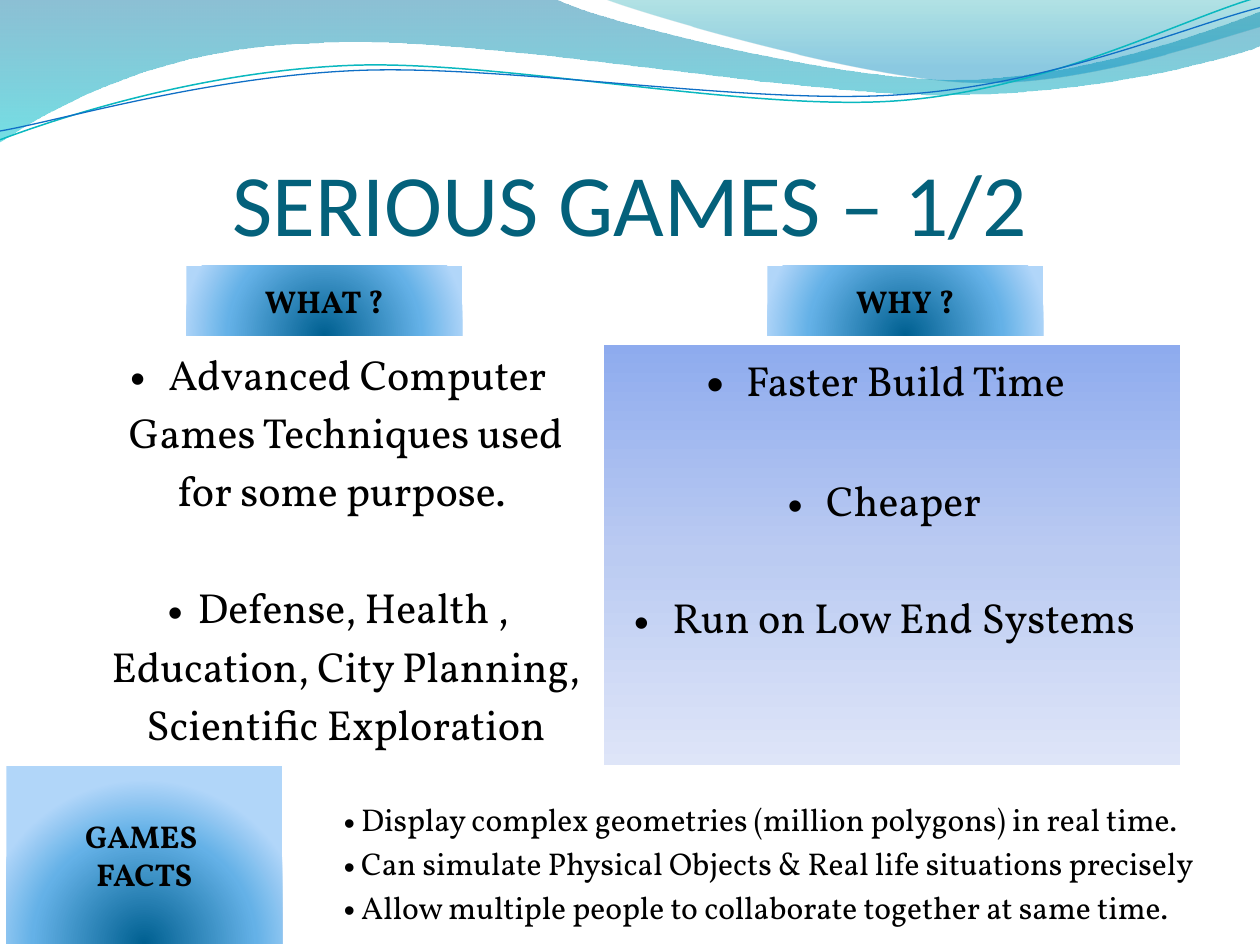
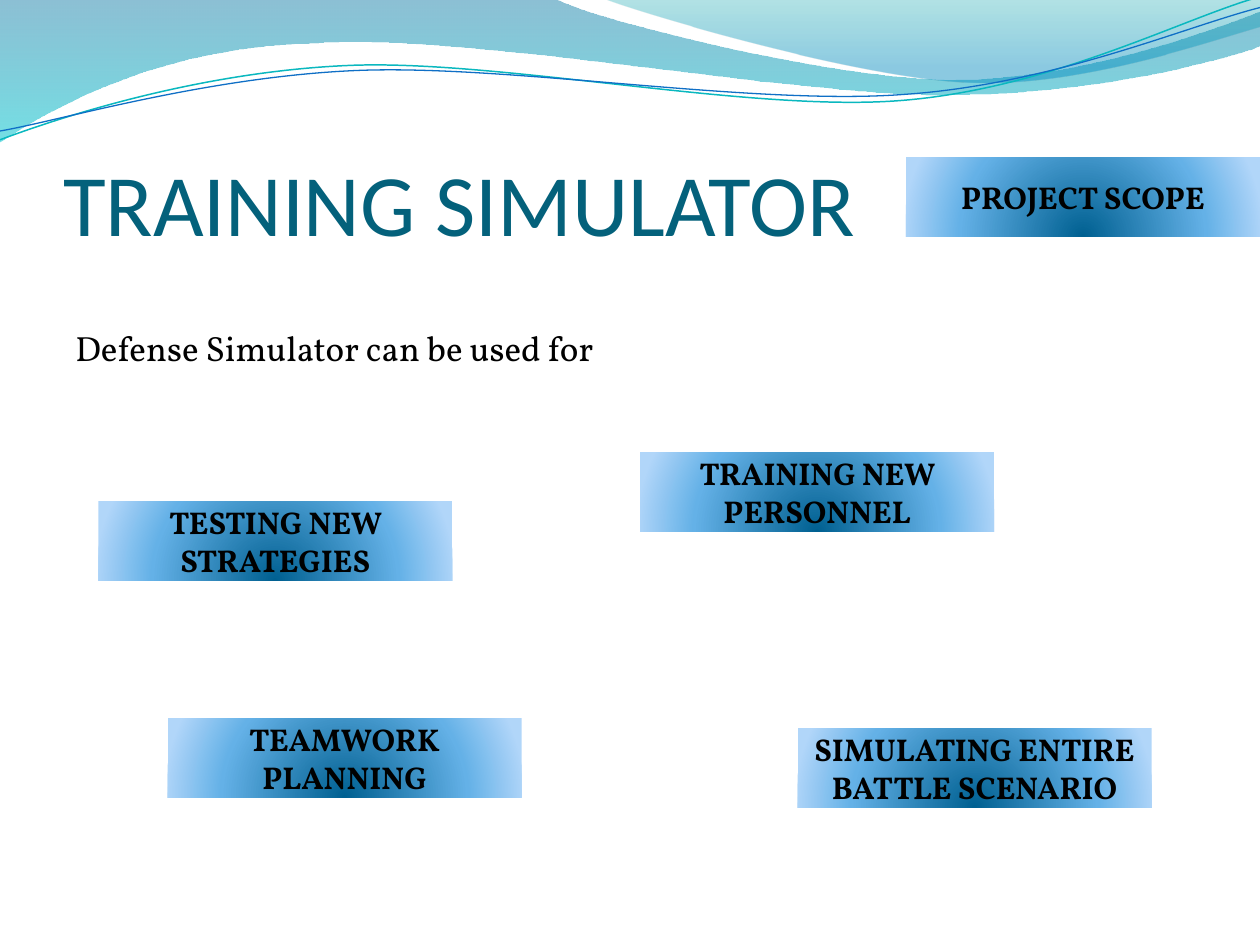
from collections import namedtuple

from lxml.etree import SubElement
from pptx import Presentation
from pptx.dml.color import RGBColor
from pptx.enum.shapes import MSO_SHAPE
from pptx.enum.text import MSO_ANCHOR, MSO_AUTO_SIZE, PP_ALIGN
from pptx.oxml import parse_xml
from pptx.oxml.ns import nsdecls, qn
from pptx.util import Inches, Pt

Box = namedtuple("Box", "left top width height")

COLUMNS, ROWS = 10, 7.5
CELL = Inches(1)
SLIDE = Box(0, 0, COLUMNS, ROWS)
TITLE_BOX = Box(0.5, 0.77, 9, 1.25)
TITLE_FONT, BODY_FONT = "Calibri", "Vollkorn"
TITLE_COLOR, TEXT_COLOR = "04617B", "000000"
LABEL_STOPS = [(0, "006091", 100), (68, "64B1E7", 100), (100, "B1D6F9", 100)]
REASON_STOPS = [(0, "8EABEE", 100), (50, "BBCBF2", 100), (100, "DEE5F8", 100)]
DOWNWARD = '<a:lin ang="5400000" scaled="0"/>'
RADIAL = ('<a:path path="circle"><a:fillToRect l="50000" t="130000" '
          'r="50000" b="-30000"/></a:path>')
BLANK_LINE = 33.4

BANDS = [
    ([(0, 0), (4.4, -0.01), (4.76, 0.17, 6.64, 0.63, 7.58, 0.63),
      (8.53, 0.63, 9.58, 0.26, 10, 0.09), (10.01, 0.36),
      (9.83, 0.44, 8.7, 0.76, 7.46, 0.75), (6.22, 0.75, 3.82, 0.28, 2.57, 0.34),
      (1.29, 0.36, 0.46, 0.83, -0.01, 1.13), (0, 0)],
     [(0, "0074A1", 45), (100, "00C6CF", 55)]),
    ([(4.79, -0.01), (5.09, 0.11, 6.82, 0.62, 7.69, 0.65),
      (8.56, 0.69, 9.61, 0.32, 10, 0.21), (10, 0), (4.79, -0.01)],
     [(0, "00A1A9", 30), (80, "008BBF", 45)]),
]
STRANDS = [
    ([(0, 1.11), (0.48, 0.93, 1.58, 0.57, 2.77, 0.52),
      (3.95, 0.47, 5.93, 0.89, 7.13, 0.8), (8.33, 0.71, 9.38, 0.15, 9.98, -0.02)],
     "0AB8BF", 0.85),
    ([(0, 1.04), (0.47, 0.96, 1.64, 0.61, 2.83, 0.56),
      (4.03, 0.51, 5.97, 0.84, 7.17, 0.75), (8.36, 0.67, 9.41, 0.21, 10, 0.06)],
     "0F6FC6", 0.75),
]


def color(value):
    """Turn a hex string into a colour."""
    return RGBColor.from_string(value)


def inside(box, left, top, width, height):
    """Return a box placed relative to the corner of another."""
    return Box(box.left + left, box.top + top, width, height)


def lengths(values):
    """Turn grid units into slide lengths."""
    return [round(value * CELL) for value in values]


def fill_gradient(target, element, stops, direction):
    """Give a shape or table cell a gradient fill."""
    target.fill.background()
    stop_list = "".join(
        f'<a:gs pos="{place * 1000}"><a:srgbClr val="{shade}">'
        f'<a:alpha val="{alpha * 1000}"/></a:srgbClr></a:gs>'
        for place, shade, alpha in stops)
    gradient = parse_xml(f'<a:gradFill {nsdecls("a")} rotWithShape="1">'
                         f'<a:gsLst>{stop_list}</a:gsLst>{direction}</a:gradFill>')
    empty = next(element.iter(qn("a:noFill")))
    empty.getparent().replace(empty, gradient)


def add_span(para, text, size, bold=False, font=BODY_FONT, shade=TEXT_COLOR):
    """Add one formatted run."""
    span = para.add_run()
    span.text = text
    span.font.size, span.font.bold, span.font.name = Pt(size), bold, font
    span.font.color.rgb = color(shade)


def add_paragraphs(frame, items, align, bullet=False, gap=0, bold=False):
    """Write paragraphs, each a list of (text, size) runs."""
    for index, spans in enumerate(items):
        para = frame.add_paragraph() if index else frame.paragraphs[0]
        para.alignment = align
        if index and gap:
            para.space_before = Pt(gap)
        if bullet:
            properties = para._p.get_or_add_pPr()
            SubElement(properties, qn("a:buFont"), typeface="Arial")
            SubElement(properties, qn("a:buChar"), char="•")
        for text, size in spans:
            add_span(para, text, size, bold)


def add_outline(page, points, closed):
    """Build a freeform whose six-number parts are cubic curves."""
    ends = [lengths(part[-2:]) for part in points]
    builder = page.shapes.build_freeform(*ends[0])
    builder.add_line_segments(ends[1:], close=closed)
    shape = builder.convert_to_shape()
    shape.shadow.inherit = False
    segments = list(shape.element.iter(qn("a:lnTo")))
    for segment, part in zip(segments, points[1:]):
        if len(part) == 6:
            curve = parse_xml(f'<a:cubicBezTo {nsdecls("a")}/>')
            numbers = lengths(part)
            for x, y in zip(numbers[::2], numbers[1::2]):
                SubElement(curve, qn("a:pt"), x=str(x - shape.left), y=str(y - shape.top))
            segment.getparent().replace(segment, curve)
    return shape


def add_waves(page):
    """Draw the waves and move them to the layout that all pages share."""
    waves = []
    for points, stops in BANDS:
        band = add_outline(page, points, True)
        fill_gradient(band, band.element, stops, DOWNWARD)
        band.line.fill.background()
        waves.append(band)
    for points, shade, width in STRANDS:
        strand = add_outline(page, points, False)
        strand.fill.background()
        strand.line.color.rgb = color(shade)
        strand.line.width = Pt(width)
        waves.append(strand)
    layout = page.slide_layout
    for holder in list(layout.placeholders)[1:]:
        layout.shapes.element.remove(holder.element)
    for wave in waves:
        layout.shapes.element.append(wave.element)


def set_title(page, text, align):
    """Move and format the title placeholder."""
    title = page.shapes.title
    title.left, title.top, title.width, title.height = lengths(TITLE_BOX)
    frame = title.text_frame
    frame.auto_size, frame.word_wrap = MSO_AUTO_SIZE.NONE, True
    frame.vertical_anchor = MSO_ANCHOR.BOTTOM
    frame.margin_left = frame.margin_right = frame.margin_bottom = 0
    frame.margin_top = Inches(0.05)
    para = frame.paragraphs[0]
    para.alignment = align
    add_span(para, text, 50, font=TITLE_FONT, shade=TITLE_COLOR)


def add_label(page, box, *lines):
    """Add a glowing blue label with bold text."""
    label = page.shapes.add_shape(MSO_SHAPE.RECTANGLE, *lengths(box))
    fill_gradient(label, label.element, LABEL_STOPS, RADIAL)
    label.line.fill.background()
    label.shadow.inherit = False
    frame = label.text_frame
    frame.word_wrap, frame.vertical_anchor = True, MSO_ANCHOR.MIDDLE
    add_paragraphs(frame, [[(line, 18)] for line in lines], PP_ALIGN.CENTER, bold=True)


def add_plain_table(page, box, widths):
    """Add a one-row table without banding and return its frame."""
    holder = page.shapes.add_table(1, len(widths), *lengths(box))
    table = holder.table
    table.first_row = table.horz_banding = False
    for column, width in zip(table.columns, lengths(widths)):
        column.width = width
    return holder


def add_topics(page, box):
    """Place the two headings over their table of points."""
    for left, heading in ((0.78, "WHAT ?"), (5.39, "WHY ?")):
        add_label(page, inside(box, left, 0, 2.19, 0.55), heading)
    table_box = inside(box, 0, 0.62, box.width, box.height - 0.62)
    holder = add_plain_table(page, table_box, [4.09, 4.58])
    what, why = holder.table.rows[0].cells
    fill_gradient(why, holder.element, REASON_STOPS, DOWNWARD)
    what.fill.background()
    uses = [[(" Advanced Computer Games Techniques used for some purpose. ", 24)],
            [("Defense, Health , Education, City Planning, Scientific Exploration", 24)]]
    reasons = [[(" ", 28), ("Faster Build Time", 24)],
               [(" Cheaper", 24)],
               [(" Run on Low End Systems", 24)]]
    for cell, items in ((what, uses), (why, reasons)):
        add_paragraphs(cell.text_frame, items, PP_ALIGN.CENTER, True, BLANK_LINE)


def add_facts(page, box):
    """Place the facts label beside its bulleted list."""
    add_label(page, inside(box, 0, 0, 2.19, 1.41), "GAMES ", "FACTS")
    holder = add_plain_table(page, inside(box, 2.58, 0.23, 7.37, 1.34), [7.37])
    cell = holder.table.cell(0, 0)
    cell.fill.background()
    facts = [" Display complex geometries (million polygons) in real time.",
             " Can simulate Physical Objects & Real life situations precisely",
             " Allow multiple people to collaborate together at same time."]
    add_paragraphs(cell.text_frame, [[(fact, 18)] for fact in facts], PP_ALIGN.LEFT, True)


def build_games_page(page):
    """Fill the page on serious games."""
    set_title(page, "SERIOUS GAMES – 1/2", PP_ALIGN.CENTER)
    add_topics(page, Box(0.7, 2.11, 8.67, 3.59))
    add_facts(page, Box(0.05, 6.08, 9.95, 1.42))


def add_uses(page, box):
    """Place the lead sentence and the scattered labels."""
    lead = page.shapes.add_textbox(*lengths(inside(box, 0.5, 2.54, 9, 0.5)))
    lead.text_frame.word_wrap = True
    add_paragraphs(lead.text_frame, [[("Defense Simulator can be used for", 20)]],
                   PP_ALIGN.LEFT)
    labels = [(7.19, 1.25, "PROJECT SCOPE"),
              (5.08, 3.59, "TRAINING NEW PERSONNEL"),
              (6.33, 5.78, "SIMULATING ENTIRE BATTLE SCENARIO"),
              (0.78, 3.98, "TESTING NEW STRATEGIES"),
              (1.33, 5.7, "TEAMWORK PLANNING")]
    for left, top, text in labels:
        add_label(page, inside(box, left, top, 2.81, 0.63), text)


def build_simulator_page(page):
    """Fill the page on the training simulator."""
    set_title(page, "TRAINING SIMULATOR", PP_ALIGN.LEFT)
    add_uses(page, SLIDE)


def main():
    """Build and save the deck."""
    deck = Presentation()
    deck.slide_width, deck.slide_height = lengths((COLUMNS, ROWS))
    title_only = deck.slide_layouts[5]
    games, simulator = (deck.slides.add_slide(title_only) for _ in range(2))
    add_waves(games)
    build_games_page(games)
    build_simulator_page(simulator)
    deck.save("out.pptx")


if __name__ == "__main__":
    main()
